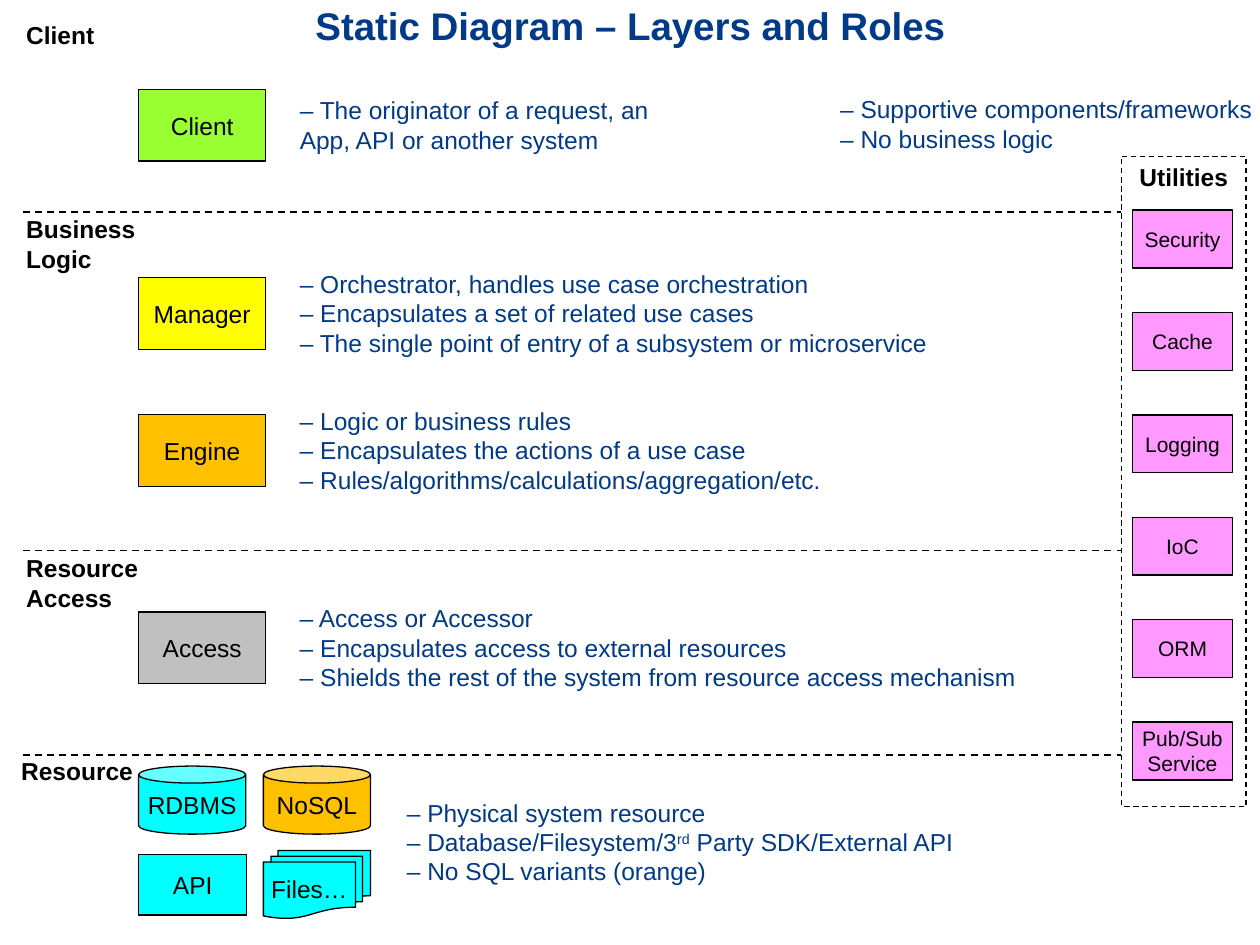
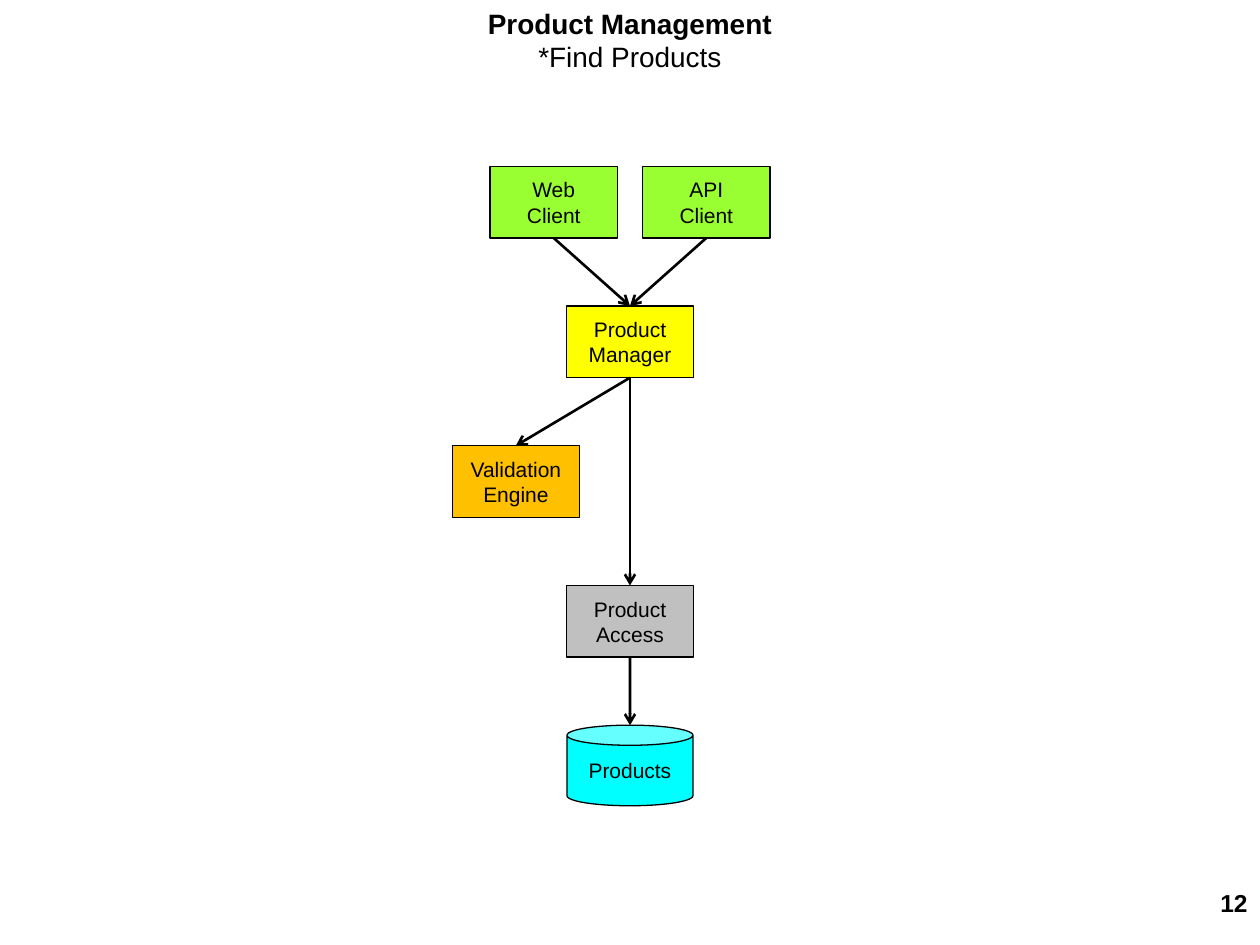
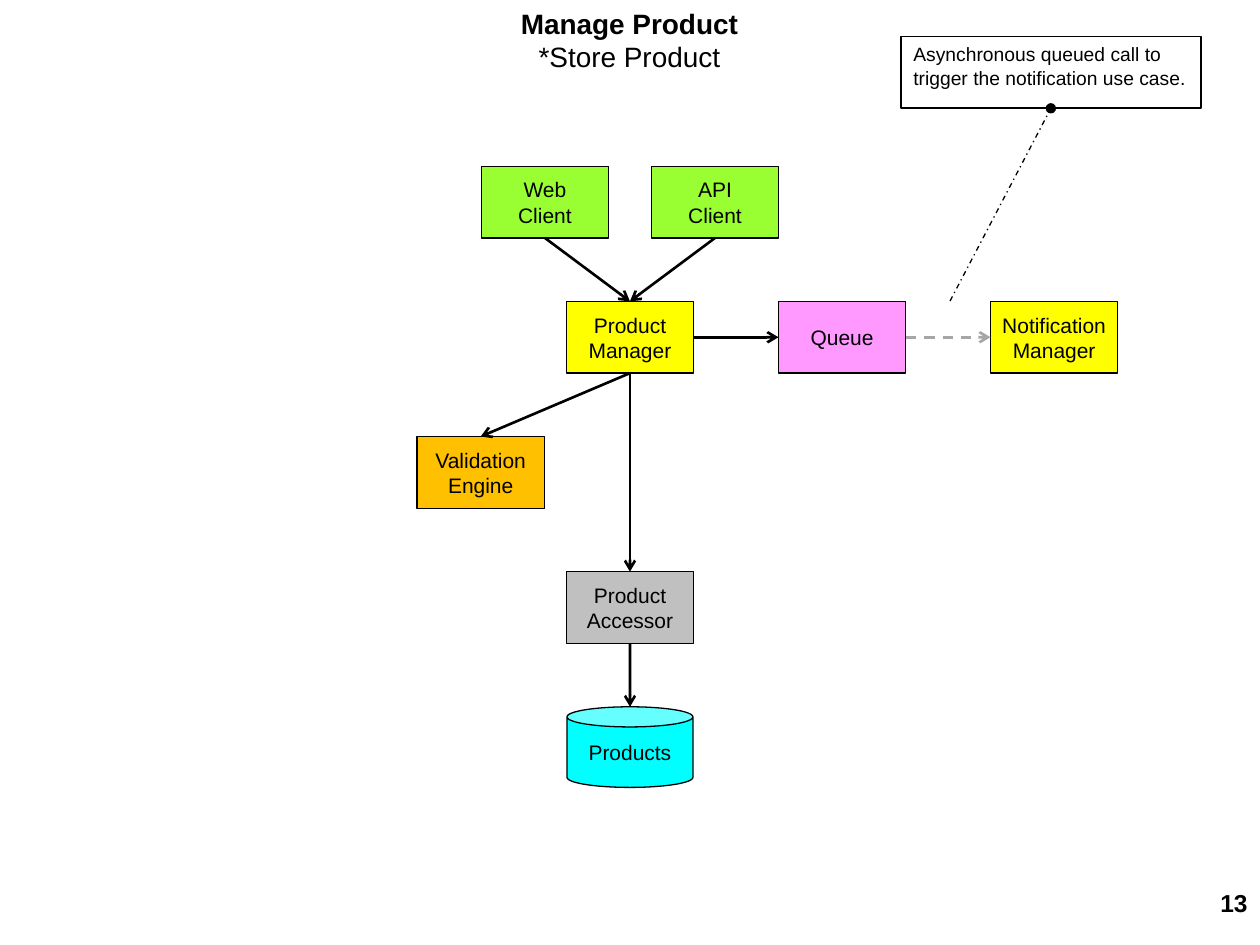
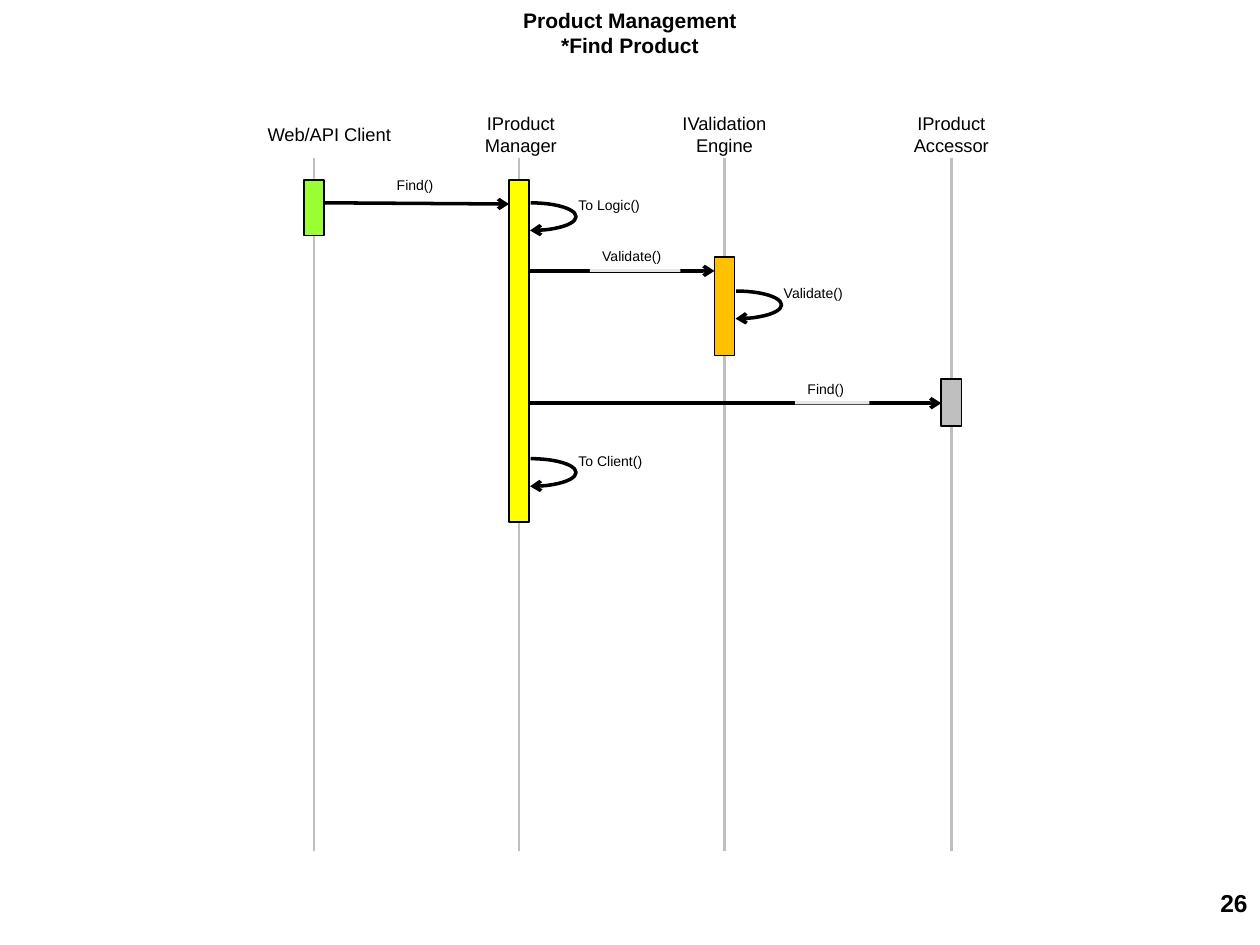
from dataclasses import dataclass

from lxml import etree
from pptx import Presentation
from pptx.dml.color import RGBColor
from pptx.enum import dml, shapes as kinds, text as txt
from pptx.oxml import ns
from pptx.util import Pt


@dataclass(frozen=True)
class Theme:
    """Colours, font and type sizes of the deck."""
    font: str = "Arial"
    ink: str = "000000"
    navy: str = "013A89"
    white: str = "FFFFFF"
    client: str = "99FF33"
    manager: str = "FFFF00"
    engine: str = "FFC000"
    access: str = "C0C0C0"
    resource: str = "00FFFF"
    utility: str = "FF99FF"
    lifeline: str = "BFBFBF"
    queued: str = "A6A6A6"
    heading: float = 22
    subject: float = 16
    body: float = 14
    node: float = 12
    note: float = 11
    participant: float = 10.5
    message: float = 8


@dataclass(frozen=True)
class Box:
    """A region in points."""
    x: float
    y: float
    w: float
    h: float

    def inner(self, dx, dy, w, h):
        """Return a box offset from this one's top left corner."""
        return Box(self.x + dx, self.y + dy, w, h)

    def lengths(self):
        """Return left, top, width and height as lengths."""
        return Pt(self.x), Pt(self.y), Pt(self.w), Pt(self.h)


THEME = Theme()
PAGE = Box(0, 0, 720, 540)
NODE_W, NODE_H = 72.7, 41
LEFT, CENTER, RIGHT = txt.PP_ALIGN.LEFT, txt.PP_ALIGN.CENTER, txt.PP_ALIGN.RIGHT
TOP, MIDDLE = txt.MSO_ANCHOR.TOP, txt.MSO_ANCHOR.MIDDLE
RECT, CAN = kinds.MSO_SHAPE.RECTANGLE, kinds.MSO_SHAPE.CAN
DASH, DASH_DOT = dml.MSO_LINE.DASH, dml.MSO_LINE.DASH_DOT
PORTS = {"top": (0, 0.5, 0), "left": (1, 0, 0.5), "bottom": (2, 0.5, 1), "right": (3, 1, 0.5)}


def write(shape, text, size=THEME.body, color=THEME.ink, bold=False, align=LEFT,
          anchor=TOP, wrap=True, spacing=None):
    """Write one paragraph per line; text between carets is superscript."""
    frame = shape.text_frame
    frame.auto_size = txt.MSO_AUTO_SIZE.NONE
    frame.word_wrap = wrap
    frame.vertical_anchor = anchor
    for row, line in enumerate(text.split("\n")):
        paragraph = frame.add_paragraph() if row else frame.paragraphs[0]
        paragraph.alignment = align
        if spacing:
            paragraph.line_spacing = spacing
        for part, words in enumerate(line.split("^")):
            run = paragraph.add_run()
            run.text = words
            run.font.name = THEME.font
            run.font.size = Pt(size)
            run.font.bold = bold
            run.font.color.rgb = RGBColor.from_string(color)
            if part % 2:
                run._r.get_or_add_rPr().set("baseline", "30000")


def caption(canvas, box, text, **style):
    """Add a text box."""
    label = canvas.add_textbox(*box.lengths())
    write(label, text, **style)
    return label


def pen(shape, color=THEME.ink, width=0.75, dash=None, tip=None):
    """Set the outline and the arrowhead at its end."""
    shape.line.color.rgb = RGBColor.from_string(color)
    shape.line.width = Pt(width)
    if dash:
        shape.line.dash_style = dash
    if tip:
        outline = shape._element.spPr.find(ns.qn("a:ln"))
        etree.SubElement(outline, ns.qn("a:tailEnd"), type=tip)


def block(canvas, box, fill=None, kind=RECT, **stroke):
    """Add a flat preset shape."""
    shape = canvas.add_shape(kind, *box.lengths())
    shape.shadow.inherit = False
    if fill:
        shape.fill.solid()
        shape.fill.fore_color.rgb = RGBColor.from_string(fill)
    else:
        shape.fill.background()
    pen(shape, **stroke)
    return shape


def node(canvas, box, text, fill, kind=RECT, size=THEME.node):
    """Add a component with its centred name."""
    shape = block(canvas, box, fill, kind)
    write(shape, text, size=size, align=CENTER, anchor=MIDDLE, wrap=False)
    return shape


def line(canvas, x1, y1, x2, y2, **stroke):
    """Add a flat straight line."""
    connector = canvas.add_connector(
        kinds.MSO_CONNECTOR.STRAIGHT, Pt(x1), Pt(y1), Pt(x2), Pt(y2))
    pen(connector, **stroke)
    etree.SubElement(connector._element.spPr, ns.qn("a:effectLst"))
    return connector


def call(canvas, caller, callee, sides=("bottom", "top"), **stroke):
    """Draw an arrow from one component to another."""
    points = []
    for shape, side in zip((caller, callee), sides):
        _, across, down = PORTS[side]
        points += [(shape.left + shape.width * across) / Pt(1),
                   (shape.top + shape.height * down) / Pt(1)]
    arrow = line(canvas, *points, width=1.5, tip="arrow", **stroke)
    arrow.begin_connect(caller, PORTS[sides[0]][0])
    if callee.auto_shape_type == RECT:
        arrow.end_connect(callee, PORTS[sides[1]][0])


def new_slide(deck, title, box, number=None, subtitle_bold=True, **style):
    """Add a title-only slide with its heading and page number."""
    slide = deck.slides.add_slide(deck.slide_layouts[5])
    heading = slide.shapes.title
    heading.left, heading.top, heading.width, heading.height = box.lengths()
    write(heading, title, bold=True, align=CENTER, **style)
    if not subtitle_bold:
        heading.text_frame.paragraphs[1].runs[0].font.bold = False
    if number:
        caption(slide.shapes, PAGE.inner(570.2, 504, 149.8, 36), number, bold=True, align=RIGHT)
    return slide


def bullets(canvas, x, middle, width, text):
    """Add a description centred on the given height."""
    height = 7.2 + 17 * max(2, text.count("\n") + 1)
    caption(canvas, Box(x, middle - height / 2, width, height), text, color=THEME.navy)


def layer(canvas, box, name, roles, name_at=(7.9, -2), ruled=True):
    """Draw a layer with its upper rule, its name and its roles."""
    if ruled:
        line(canvas, box.x + 13, box.y, box.x + box.w, box.y, width=1, dash=DASH)
    caption(canvas, box.inner(*name_at, 80, 41), name, bold=True)
    for role, fill, dy, width, text in roles:
        node(canvas, box.inner(79.2, dy, NODE_W, NODE_H), role, fill, size=THEME.body)
        bullets(canvas, box.x + 164.2, box.y + dy + NODE_H / 2, width, text)


def resources(canvas, box):
    """Draw the four physical resources and their description."""
    group = canvas.add_group_shape().shapes
    stores = [
        ("RDBMS", THEME.resource, CAN, 0, 0, 61.2, 38.9),
        ("NoSQL", THEME.engine, CAN, 71.3, 0, 61.2, 38.9),
        ("API", THEME.resource, RECT, 0, 50.4, 61.9, 34.6),
        ("Files…", THEME.resource, kinds.MSO_SHAPE.FLOWCHART_MULTIDOCUMENT, 71.3, 48.2, 61.2, 38.9),
    ]
    for name, fill, kind, *place in stores:
        node(group, box.inner(*place), name, fill, kind, THEME.body)
    bullets(canvas, box.x + 146.2, box.y + 43.5, 360,
            "– Physical system resource\n"
            "– Database/Filesystem/3^rd^ Party SDK/External API\n"
            "– No SQL variants (orange)")


def utilities(canvas, box):
    """Draw the utilities column with evenly spaced tiles."""
    panel = block(canvas, box, dash=DASH)
    write(panel, "Utilities", bold=True, align=CENTER, wrap=False)
    names = ["Security", "Cache", "Logging", "IoC", "ORM", "Pub/Sub\nService"]
    for row, name in enumerate(names):
        node(canvas, box.inner(6.5, 30.8 + 58.5 * row, 56.9, 33.1), name, THEME.utility)


def layers_slide(deck):
    """Build the overview of layers and roles."""
    slide = new_slide(deck, "Static Diagram – Layers and Roles", PAGE.inner(8.6, 0.7, 703.4, 26.6),
                      size=THEME.heading, color=THEME.navy, spacing=0.9)
    canvas = slide.shapes
    utilities(canvas, PAGE.inner(640.8, 89.3, 71.3, 371.5))
    layer(canvas, Box(0, 0, 640.8, 121), "Client", [
        ("Client", THEME.client, 51.1, 231.1,
         "– The originator of a request, an App, API or another system")],
        name_at=(7.9, 7.9), ruled=False)
    layer(canvas, Box(0, 121, 640.8, 193.6), "Business\nLogic", [
        ("Manager", THEME.manager, 37.6, 380.2,
         "– Orchestrator, handles use case orchestration\n"
         "– Encapsulates a set of related use cases\n"
         "– The single point of entry of a subsystem or microservice"),
        ("Engine", THEME.engine, 115.9, 355,
         "– Logic or business rules\n"
         "– Encapsulates the actions of a use case\n"
         "– Rules/algorithms/calculations/aggregation/etc.")])
    layer(canvas, Box(0, 314.6, 640.8, 116.7), "Resource\nAccess", [
        ("Access", THEME.access, 35.2, 432,
         "– Access or Accessor\n"
         "– Encapsulates access to external resources\n"
         "– Shields the rest of the system from resource access mechanism")])
    layer(canvas, Box(0, 431.3, 640.8, 108.7), "Resource", [], name_at=(5, -2.9))
    resources(canvas, Box(79.2, 437.8, 506.2, 87))
    bullets(canvas, 473, 70.9, 256.3, "– Supportive components/frameworks\n– No business logic")


def call_chain(canvas, box, access_name, client_offset, engine_offset):
    """Draw the calls from clients to storage and return a node placer and the manager."""
    store_h = 46.1
    pitch = (box.h - store_h) / 4

    def place(text, fill, offset, row, kind=RECT, w=NODE_W, h=NODE_H):
        """Place a component by its offset from the axis and its row."""
        return node(canvas, box.inner((box.w - w) / 2 + offset, pitch * row, w, h),
                    text, fill, kind)

    web = place("Web\nClient", THEME.client, -client_offset, 0)
    api = place("API\nClient", THEME.client, client_offset, 0)
    manager = place("Product\nManager", THEME.manager, 0, 1)
    engine = place("Validation\nEngine", THEME.engine, -engine_offset, 2)
    access = place(access_name, THEME.access, 0, 3)
    products = place("Products", THEME.resource, 0, 4, CAN, 72, store_h)
    for caller, callee in [(web, manager), (api, manager), (manager, engine),
                           (manager, access), (access, products)]:
        call(canvas, caller, callee)
    return place, manager


def find_slide(deck):
    """Build the static view of finding products."""
    slide = new_slide(deck, "Product Management\n*Find Products", PAGE.inner(271.4, 0, 177.1, 46),
                      "12", subtitle_bold=False, size=THEME.subject)
    call_chain(slide.shapes, Box(0, 95, 720, 365.5), "Product\nAccess", 43.6, 65.2)


def store_slide(deck):
    """Build the static view of storing a product."""
    slide = new_slide(deck, "Manage Product\n*Store Product", PAGE.inner(285.2, 0, 149, 46),
                      "13", subtitle_bold=False, size=THEME.subject)
    canvas = slide.shapes
    place, manager = call_chain(canvas, Box(0, 95, 720, 355), "Product\nAccessor", 48.6, 85.3)
    queue = place("Queue", THEME.utility, 121.2, 1)
    notification = place("Notification\nManager", THEME.manager, 242.4, 1)
    sideways = ("right", "left")
    call(canvas, manager, queue, sideways)
    call(canvas, queue, notification, sideways, color=THEME.queued, dash=DASH)
    remark = block(canvas, PAGE.inner(514.8, 20.9, 171.4, 41), THEME.white, width=1)
    write(remark, "Asynchronous queued call to trigger the notification use case.", size=THEME.note)
    line(canvas, 542.9, 172, 600.5, 61.9, dash=DASH_DOT, tip="oval")


def lifeline(canvas, box, name, name_box, fill, start, length):
    """Draw a participant's name, lifeline and activation bar."""
    middle = box.x + box.w / 2
    line(canvas, middle, box.y, middle, box.y + box.h, color=THEME.lifeline, width=1.5)
    block(canvas, box.inner(0, start, box.w, length), fill, width=1)
    caption(canvas, name_box, name, size=THEME.participant, align=CENTER)


def message(canvas, x1, x2, y, text, box, drop=0):
    """Draw a call between lifelines with its label on a translucent ground."""
    line(canvas, x1, y, x2, y + drop, width=2, tip="arrow")
    label = caption(canvas, box, text, size=THEME.message)
    label.fill.solid()
    label.fill.fore_color.rgb = RGBColor.from_string(THEME.white)
    ground = label._element.spPr.find(".//" + ns.qn("a:srgbClr"))
    etree.SubElement(ground, ns.qn("a:alpha"), val="90000")


def self_call(canvas, box, text, label_width):
    """Draw a call that loops back to its own lifeline."""
    loop = block(canvas, box, kind=kinds.MSO_SHAPE.ARC, width=2, tip="arrow")
    loop.adjustments[0] = 162
    loop.adjustments[1] = 55.73
    caption(canvas, box.inner(46, -7.2, label_width, 17.3), text, size=THEME.message)


def sequence(canvas, box):
    """Draw the lifelines and the messages between them."""
    bar = 11.5
    participants = [
        ("Web/API Client", 0, (-29.4, -23, 88, 20.2), THEME.client, 13, 31.7),
        ("IProduct\nManager", 117.3, (94.9, -29.5, 58.3, 33.8), THEME.manager, 13, 195.1),
        ("IValidation\nEngine", 234.7, (207.3, -29.5, 66.2, 33.8), THEME.engine, 56.9, 56.2),
        ("IProduct\nAccessor", 364.3, (339.8, -29.5, 60.5, 33.8), THEME.access, 126.7, 26.6),
    ]
    for name, dx, name_at, fill, start, length in participants:
        if fill == THEME.access:
            fill = THEME.lifeline
        lifeline(canvas, box.inner(dx, 0, bar, box.h), name, box.inner(*name_at),
                 fill, start, length)
    client, manager, engine, accessor = [box.x + dx for _, dx, *_ in participants]
    message(canvas, client + bar, manager, box.y + 25.9, "Find()",
            box.inner(46, 7.2, 37.4, 17.3), drop=0.7)
    message(canvas, manager + bar, engine, box.y + 64.8, "Validate()",
            box.inner(163.4, 48.2, 51.8, 17.3))
    message(canvas, manager + bar, accessor, box.y + 140.4, "Find()",
            box.inner(280.7, 123.8, 42.5, 17.3))
    loops = [("To Logic()", manager, 25.9, 69.1), ("Validate()", engine, 76.3, 53.3),
             ("To Client()", manager, 172.1, 69.1)]
    for text, x, dy, width in loops:
        self_call(canvas, Box(x + bar - 25, box.y + dy, 51.8, 15.8), text, width)


def sequence_slide(deck):
    """Build the sequence view of finding a product."""
    slide = new_slide(deck, "Product Management\n*Find Product", PAGE.inner(291.6, 0.7, 136.8, 51.1),
                      "26", size=THEME.node)
    sequence(slide.shapes, Box(173.6, 90, 375.8, 396))


def main():
    """Build and save the deck."""
    deck = Presentation()
    deck.slide_width, deck.slide_height = Pt(PAGE.w), Pt(PAGE.h)
    for build in (layers_slide, find_slide, store_slide, sequence_slide):
        build(deck)
    deck.save("out.pptx")


if __name__ == "__main__":
    main()
